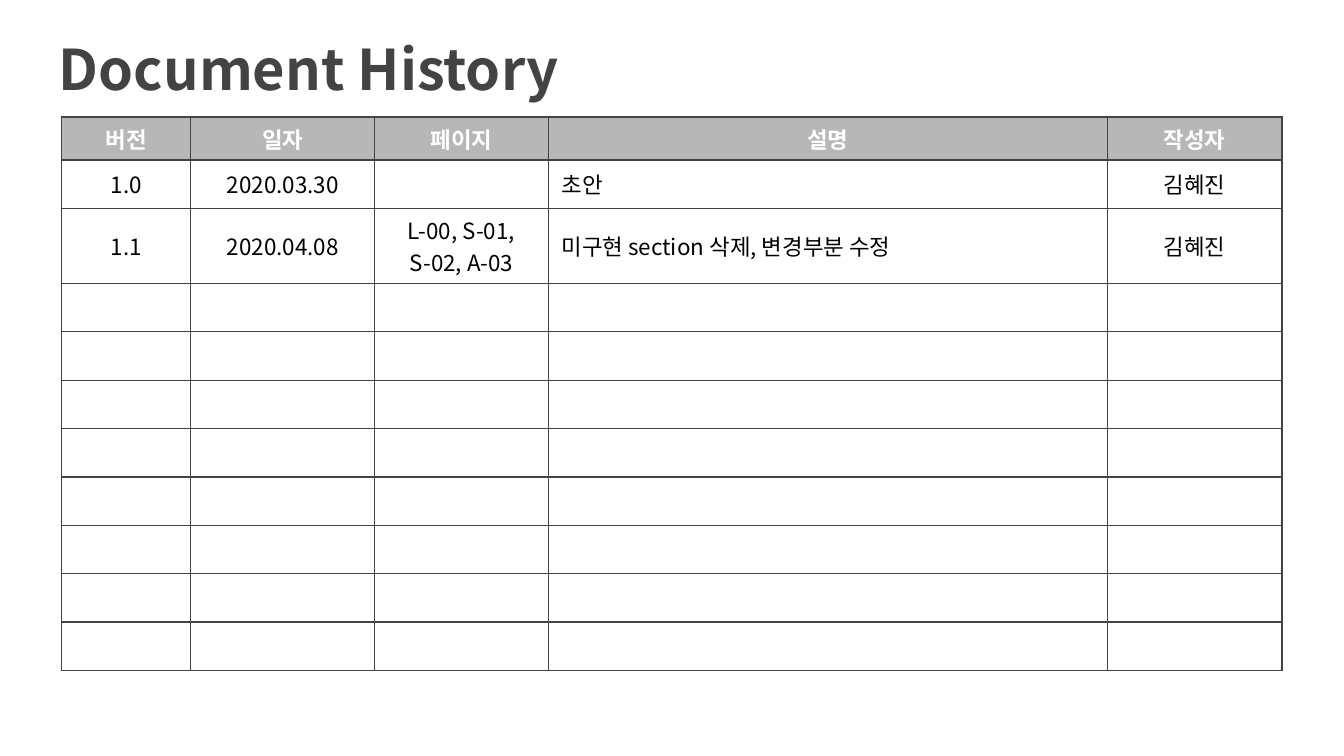
from pptx import Presentation
from pptx.dml.color import RGBColor
from pptx.enum.text import MSO_ANCHOR as Anchor, PP_ALIGN as Align
from pptx.oxml.ns import qn
from pptx.util import Inches, Pt
from lxml.etree import SubElement

FONT = "Noto Sans CJK KR"
DARK = RGBColor(0x43, 0x43, 0x43)
HEADER_GRAY = RGBColor(0xB7, 0xB7, 0xB7)
WHITE = RGBColor(0xFF, 0xFF, 0xFF)
BLACK = RGBColor(0, 0, 0)

COLUMN_WIDTHS = [0.96, 1.37, 1.29, 4.16, 1.3]
HEADER_HEIGHT, ROW_HEIGHT, TWO_LINE_HEIGHT = 0.32, 0.36, 0.56
DESCRIPTION = 3
EMPTY_ROWS = 8
HEADINGS = ["버전", "일자", "페이지", "설명", "작성자"]
REVISIONS = [
    ["1.0", "2020.03.30", "", "초안", "김혜진"],
    ["1.1", "2020.04.08", "L-00, S-01, S-02, A-03",
     "미구현 section 삭제, 변경부분 수정", "김혜진"],
]


def set_font(paragraph, size, color, bold=False):
    """Style a paragraph, using the same typeface for Latin and Korean."""
    font = paragraph.font
    font.name, font.size, font.bold = FONT, Pt(size), bold
    font.color.rgb = color
    defaults = paragraph._p.pPr.find(qn("a:defRPr"))
    SubElement(defaults, qn("a:ea"), typeface=FONT)


def add_borders(cell):
    properties = cell._tc.get_or_add_tcPr()
    for side in ("lnL", "lnR", "lnT", "lnB"):
        line = SubElement(properties, qn(f"a:{side}"), w=str(Pt(0.75)))
        fill = SubElement(line, qn("a:solidFill"))
        SubElement(fill, qn("a:srgbClr"), val=str(DARK))


def add_title(slide, left, top, width, height):
    box = slide.shapes.add_textbox(
        Inches(left), Inches(top), Inches(width), Inches(height))
    frame = box.text_frame
    frame.word_wrap = True
    frame.margin_left = frame.margin_right = Inches(0.1)
    frame.margin_top = frame.margin_bottom = Inches(0.1)
    title = frame.paragraphs[0]
    title.text = "Document History"
    set_font(title, 30, DARK, bold=True)


def fill_cell(cell, text, is_header, align):
    cell.vertical_anchor = Anchor.MIDDLE
    cell.margin_left = cell.margin_right = Inches(0.1)
    cell.margin_top = cell.margin_bottom = Inches(0.02)
    add_borders(cell)
    if is_header:
        cell.fill.solid()
        cell.fill.fore_color.rgb = HEADER_GRAY
    else:
        cell.fill.background()
    paragraph = cell.text_frame.paragraphs[0]
    paragraph.text = text
    paragraph.alignment = align
    set_font(paragraph, 12, WHITE if is_header else BLACK, bold=is_header)


def add_history_table(slide, left, top):
    empty = [[""] * len(HEADINGS) for _ in range(EMPTY_ROWS)]
    rows = [HEADINGS] + REVISIONS + empty
    heights = ([HEADER_HEIGHT, ROW_HEIGHT, TWO_LINE_HEIGHT]
               + [ROW_HEIGHT] * EMPTY_ROWS)
    table = slide.shapes.add_table(
        len(rows), len(HEADINGS), Inches(left), Inches(top),
        Inches(sum(COLUMN_WIDTHS)), Inches(sum(heights))).table
    table.first_row = table.horz_banding = False
    for column, width in zip(table.columns, COLUMN_WIDTHS):
        column.width = Inches(width)
    for r, (texts, height) in enumerate(zip(rows, heights)):
        table.rows[r].height = Inches(height)
        for c, text in enumerate(texts):
            is_header = r == 0
            left_aligned = c == DESCRIPTION and not is_header
            fill_cell(table.cell(r, c), text, is_header,
                      Align.LEFT if left_aligned else Align.CENTER)


def main():
    deck = Presentation()
    deck.slide_width = Inches(10)
    deck.slide_height = deck.slide_width * 9 // 16
    slide = deck.slides.add_slide(deck.slide_layouts[6])
    add_history_table(slide, 0.46, 0.87)
    add_title(slide, 0.34, 0.16, 7.99, 0.71)
    deck.save("out.pptx")


if __name__ == "__main__":
    main()
